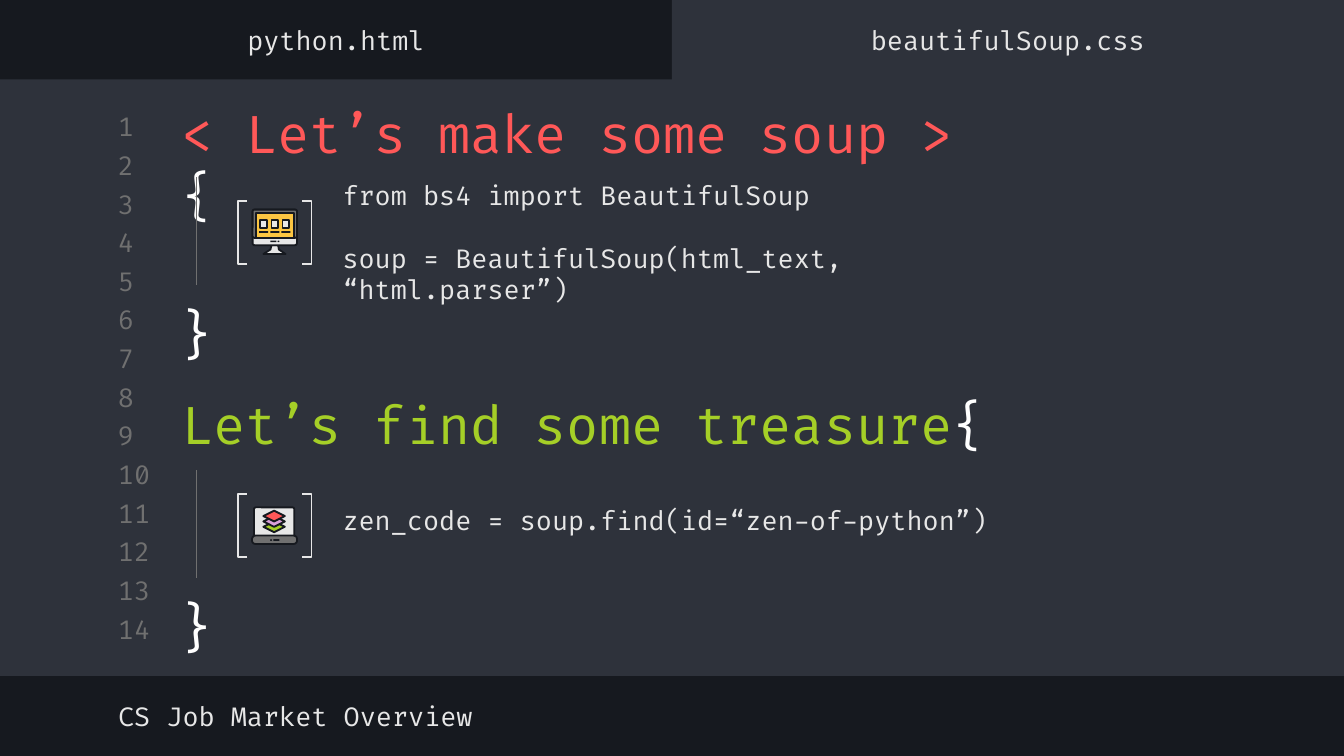
from lxml.etree import SubElement
from pptx import Presentation
from pptx.dml.color import RGBColor
from pptx.enum.shapes import MSO_CONNECTOR as Connector, MSO_SHAPE as Shape
from pptx.enum.text import MSO_ANCHOR as Anchor, PP_ALIGN as Align
from pptx.oxml.ns import qn
from pptx.util import Inches, Pt

THEME = {
    "font": "Fira Code",
    "code": Pt(14),
    "heading": Pt(28),
    "hairline": Pt(0.75),
    "outline": Pt(1),
    "ink": RGBColor.from_string("16191F"),
    "panel": RGBColor.from_string("2E323B"),
    "muted": RGBColor.from_string("707070"),
    "light": RGBColor.from_string("E7E7E7"),
    "white": RGBColor.from_string("FFFFFF"),
    "red": RGBColor.from_string("FF5858"),
    "green": RGBColor.from_string("A5CF27"),
    "lilac": RGBColor.from_string("DBA0DB"),
    "yellow": RGBColor.from_string("FCC642"),
}
COLUMNS = 80

presentation = Presentation()
presentation.slide_width, presentation.slide_height = Inches(10), Inches(5.625)
UNIT = presentation.slide_width // COLUMNS
slide = presentation.slides.add_slide(presentation.slide_layouts[6])
slide.background.fill.solid()
slide.background.fill.fore_color.rgb = THEME["ink"]


def add_text(box, paragraphs, size="code", align=Align.LEFT, **formats):
    frame = slide.shapes.add_textbox(*(round(v * UNIT) for v in box)).text_frame
    settings = {
        "word_wrap": True, "vertical_anchor": Anchor.MIDDLE,
        "margin_left": Inches(0.1), "margin_right": Inches(0.1),
        "margin_top": Inches(0.1), "margin_bottom": Inches(0.1),
    } | formats
    for name, value in settings.items():
        setattr(frame, name, value)
    for index, runs in enumerate(paragraphs):
        paragraph = frame.add_paragraph() if index else frame.paragraphs[0]
        paragraph.alignment = align
        paragraph.space_before = Pt(16.8 * index)
        for text, color in runs:
            run = paragraph.add_run()
            run.text = text
            run.font.name, run.font.size = THEME["font"], THEME[size]
            run.font.color.rgb = THEME[color]


def add_shape(shapes, kind, box, fill=None, line=None, width="outline", corner=None):
    shape = shapes.add_shape(kind, *(round(v * UNIT) for v in box))
    shape.shadow.inherit = False
    if corner is not None:
        shape.adjustments[0] = corner
    if fill:
        shape.fill.solid()
        shape.fill.fore_color.rgb = THEME[fill]
    else:
        shape.fill.background()
    if line:
        shape.line.color.rgb, shape.line.width = THEME[line], THEME[width]
    else:
        shape.line.fill.background()


for box in [(0, 4.72, 80, 35.52), (40, 0, 40, 5.2)]:
    add_shape(slide.shapes, Shape.RECTANGLE, box, "panel")

for number in range(14):
    add_text((6.24, 6.56 + 2.3 * number, 3.76, 1.92), [[(str(number + 1), "muted")]])

add_text((19.6, 10.08, 44.96, 8.64), [
    [("from bs4 import BeautifulSoup", "light")],
    [("soup = BeautifulSoup(html_text, “html.parser”)", "light")],
])
add_text((19.6, 27.52, 44.96, 6.88), [[("zen_code = soup.find(id=“zen-of-python”)", "light")]])
add_text((10, 22.88, 61.92, 4.64),
         [[("Let’s find some treasure", "green"), ("{", "white")]], "heading")
add_text((10, 5.44, 48.4, 4.64),
         [[("< Let’s make some soup > ", "red"), ("{", "white")]], "heading",
         vertical_anchor=Anchor.TOP, margin_top=Inches(0.07))

add_text((6.24, 41.04, 42.56, 3.12), [[("CS Job Market Overview", "light")]])
for tab, name in enumerate(["python.html", "beautifulSoup.css"]):
    add_text((40 * tab, 0.8, 40, 3.12), [[(name, "light")]], align=Align.CENTER)

monitor = slide.shapes.add_group_shape().shapes
stand_points = [(16.16, 14.6), (16.56, 14.6), (16.6, 14.85),
                (17, 15.12), (15.68, 15.12), (16.1, 14.85)]
stand_points = [(round(x * UNIT), round(y * UNIT)) for x, y in stand_points]
builder = monitor.build_freeform(*stand_points[0], scale=1.0)
builder.add_line_segments(stand_points[1:], close=True)
stand = builder.convert_to_shape()
stand.shadow.inherit = False
stand.fill.solid()
stand.fill.fore_color.rgb = THEME["light"]
stand.line.color.rgb, stand.line.width = THEME["ink"], THEME["outline"]

for box, fill in [((15.04, 12.48, 2.64, 2.12), "light"), ((15.04, 12.48, 2.64, 1.68), "muted")]:
    add_shape(monitor, Shape.ROUNDED_RECTANGLE, box, fill, "ink", corner=0.06)
add_shape(monitor, Shape.RECTANGLE, (15.24, 12.68, 2.24, 1.48), "yellow", "ink")
for window in range(3):
    offset = 0.66 * window
    add_shape(monitor, Shape.RECTANGLE, (15.5 + offset, 13.08, 0.4, 0.52), "light", "ink")
    add_shape(monitor, Shape.RECTANGLE, (15.43 + offset, 13.76, 0.54, 0.1), "ink")
add_shape(monitor, Shape.RECTANGLE, (16.1, 14.32, 0.36, 0.1), "ink")
add_shape(monitor, Shape.OVAL, (16.52, 14.32, 0.12, 0.1), "ink")

laptop = slide.shapes.add_group_shape().shapes
add_shape(laptop, Shape.ROUNDED_RECTANGLE, (15.12, 30.2, 2.4, 1.76), "light", "ink", corner=0.06)
add_shape(laptop, Shape.ROUNDED_RECTANGLE, (15, 31.88, 2.68, 0.5), "muted", "ink", corner=0.4)
for layer, color in enumerate(["green", "lilac", "red"]):
    add_shape(laptop, Shape.DIAMOND, (15.68, 31.04 - 0.32 * layer, 1.28, 0.64), color, "ink")
add_shape(laptop, Shape.RECTANGLE, (16.28, 32.1, 0.36, 0.1), "ink")
add_shape(laptop, Shape.OVAL, (16.08, 32.1, 0.12, 0.1), "ink")

for top in (10.56, 28):
    for kind, left in [(Shape.LEFT_BRACKET, 14.16), (Shape.RIGHT_BRACKET, 18)]:
        add_shape(slide.shapes, kind, (left, top + 1.4, 0.56, 3.76),
                  line="light", width="hairline", corner=0)
    guide = slide.shapes.add_connector(
        Connector.STRAIGHT, *(round(v * UNIT) for v in (11.68, top, 11.68, top + 6.4)))
    guide.line.color.rgb, guide.line.width = THEME["muted"], THEME["hairline"]
    SubElement(guide.line._get_or_add_ln().getparent(), qn("a:effectLst"))
    add_text((9.52, top + 6.56, 4.4, 5.36), [[("}", "white")]], "heading", Align.CENTER,
             vertical_anchor=Anchor.TOP)

presentation.save("out.pptx")
